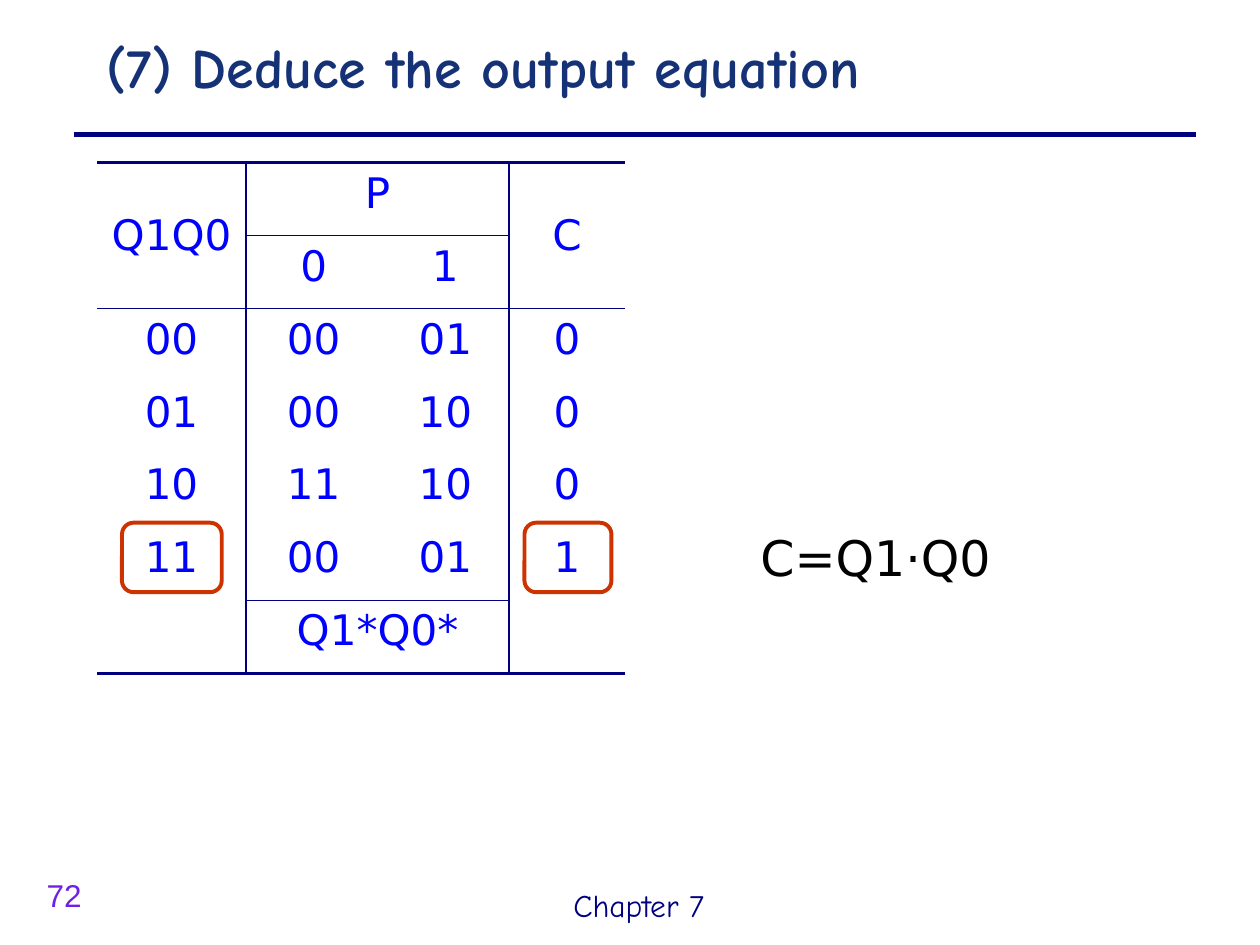
from typing import NamedTuple

from lxml.etree import SubElement
from pptx import Presentation
from pptx.dml.color import RGBColor
from pptx.enum.shapes import MSO_CONNECTOR, MSO_SHAPE
from pptx.enum.text import MSO_ANCHOR, PP_ALIGN
from pptx.oxml import parse_xml
from pptx.oxml.ns import nsdecls, qn
from pptx.util import Pt

NAVY = "000080"
COLS = (85, 77.5, 73, 66)
ROW_H = 41.7
ROWS = (
    ("Q1Q0", "P", "", "C"),
    ("", "0", "1", ""),
    ("00", "00", "01", "0"),
    ("01", "00", "10", "0"),
    ("10", "11", "10", "0"),
    ("11", "00", "01", "1"),
    ("", "Q1*Q0*", "", ""),
)
MERGES = ((0, 0, 1, 0), (0, 1, 0, 2), (0, 3, 1, 3), (6, 1, 6, 2))
H_RULES = {0: (range(4), 2.25), 1: ((1, 2), 1), 2: (range(4), 1),
           6: ((1, 2), 1), 7: (range(4), 2.25)}
V_RULES = {1: 1, 3: 1}


class Label(NamedTuple):
    text: str
    left: float
    top: float
    width: float
    height: float
    font: dict


class Ring(NamedTuple):
    left: float
    width: float


LABELS = (
    Label("Chapter 7", 320.5, 502.5, 102, 29,
          {"name": "Comic Neue", "size": Pt(18), "color": NAVY}),
    Label("72", 19.5, 497, 51, 29,
          {"name": "Arial", "size": Pt(18), "color": "6F20E4"}),
    Label("C=Q1·Q0", 427.5, 298, 163, 70.5,
          {"name": "DejaVu Sans", "size": Pt(28), "color": "000000"}),
    Label("(7) Deduce the output equation", 54, 15, 629, 57,
          {"name": "Comic Neue", "size": Pt(32), "color": "153276", "bold": True}),
)
CELL_FONT = {"name": "DejaVu Sans", "size": Pt(24), "color": "0000FF"}
RINGS = (Ring(69.7, 57), Ring(299.7, 49.7))


def rgb(value: str) -> RGBColor:
    return RGBColor.from_string(value)


def write(tf, text: str, font: dict) -> None:
    r = tf.paragraphs[0].add_run()
    r.text = text
    for name, value in font.items():
        if name == "color":
            r.font.color.rgb = rgb(value)
        else:
            setattr(r.font, name, value)


def add_label(s, label: Label) -> None:
    sp = s.shapes.add_textbox(*map(Pt, label[1:5]))
    sp.text_frame.word_wrap = True
    write(sp.text_frame, label.text, label.font)


def add_rule(s, x1: float, x2: float, y: float) -> None:
    sp = s.shapes.add_connector(MSO_CONNECTOR.STRAIGHT, Pt(x1), Pt(y), Pt(x2), Pt(y))
    sp.line.color.rgb = rgb(NAVY)
    sp.line.width = Pt(3)
    SubElement(sp._element.spPr, qn("a:effectLst"))


def add_ring(s, ring: Ring) -> None:
    sp = s.shapes.add_shape(MSO_SHAPE.ROUNDED_RECTANGLE, Pt(ring.left), Pt(298.7),
                            Pt(ring.width), Pt(39.7))
    sp.shadow.inherit = False
    sp.fill.background()
    sp.line.color.rgb = rgb("CC3300")
    sp.line.width = Pt(2.25)


def h_width(row: int, col: int) -> float:
    cols, width = H_RULES.get(row, ((), 0))
    return width if col in cols else 0


def set_borders(cell, row: int, col: int) -> None:
    widths = {"L": V_RULES.get(col, 0), "R": V_RULES.get(col + 1, 0),
              "T": h_width(row, col), "B": h_width(row + 1, col)}
    tc_pr = cell._tc.get_or_add_tcPr()
    for i, (side, width) in enumerate(widths.items()):
        fill = (f'<a:solidFill><a:srgbClr val="{NAVY}"/></a:solidFill>'
                if width else "<a:noFill/>")
        tc_pr.insert(i, parse_xml(
            f'<a:ln{side} {nsdecls("a")} w="{Pt(width)}">{fill}</a:ln{side}>'))


def add_state_table(s) -> None:
    frame = s.shapes.add_table(len(ROWS), len(COLS), Pt(55.5), Pt(93),
                               Pt(sum(COLS)), Pt(ROW_H * len(ROWS)))
    table = frame.table
    table.first_row = table.horz_banding = False
    for column, width in zip(table.columns, COLS):
        column.width = Pt(width)
    for i, texts in enumerate(ROWS):
        table.rows[i].height = Pt(ROW_H)
        for j, text in enumerate(texts):
            cell = table.cell(i, j)
            cell.fill.background()
            set_borders(cell, i, j)
            if text:
                cell.text_frame.paragraphs[0].alignment = PP_ALIGN.CENTER
                write(cell.text_frame, text, CELL_FONT)
    for r1, c1, r2, c2 in MERGES:
        table.cell(r1, c1).merge(table.cell(r2, c2))
        if r2 > r1:
            table.cell(r1, c1).vertical_anchor = MSO_ANCHOR.MIDDLE


def main() -> None:
    prs = Presentation()
    prs.slide_width, prs.slide_height = Pt(720), Pt(540)
    s = prs.slides.add_slide(prs.slide_layouts[6])
    add_rule(s, 42.5, 683.3, 77)
    add_state_table(s)
    for ring in RINGS:
        add_ring(s, ring)
    for label in LABELS:
        add_label(s, label)
    prs.save("out.pptx")


if __name__ == "__main__":
    main()
